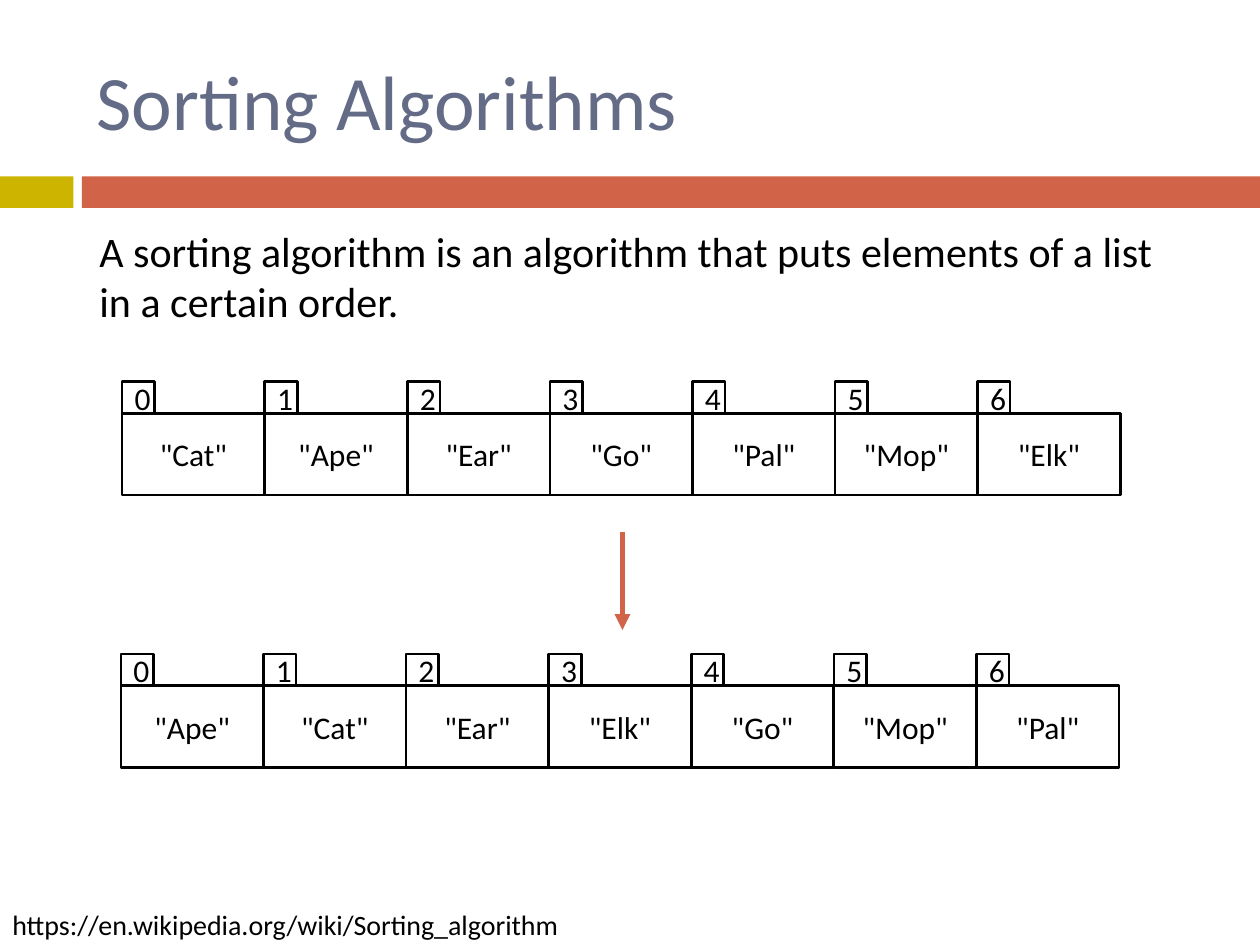
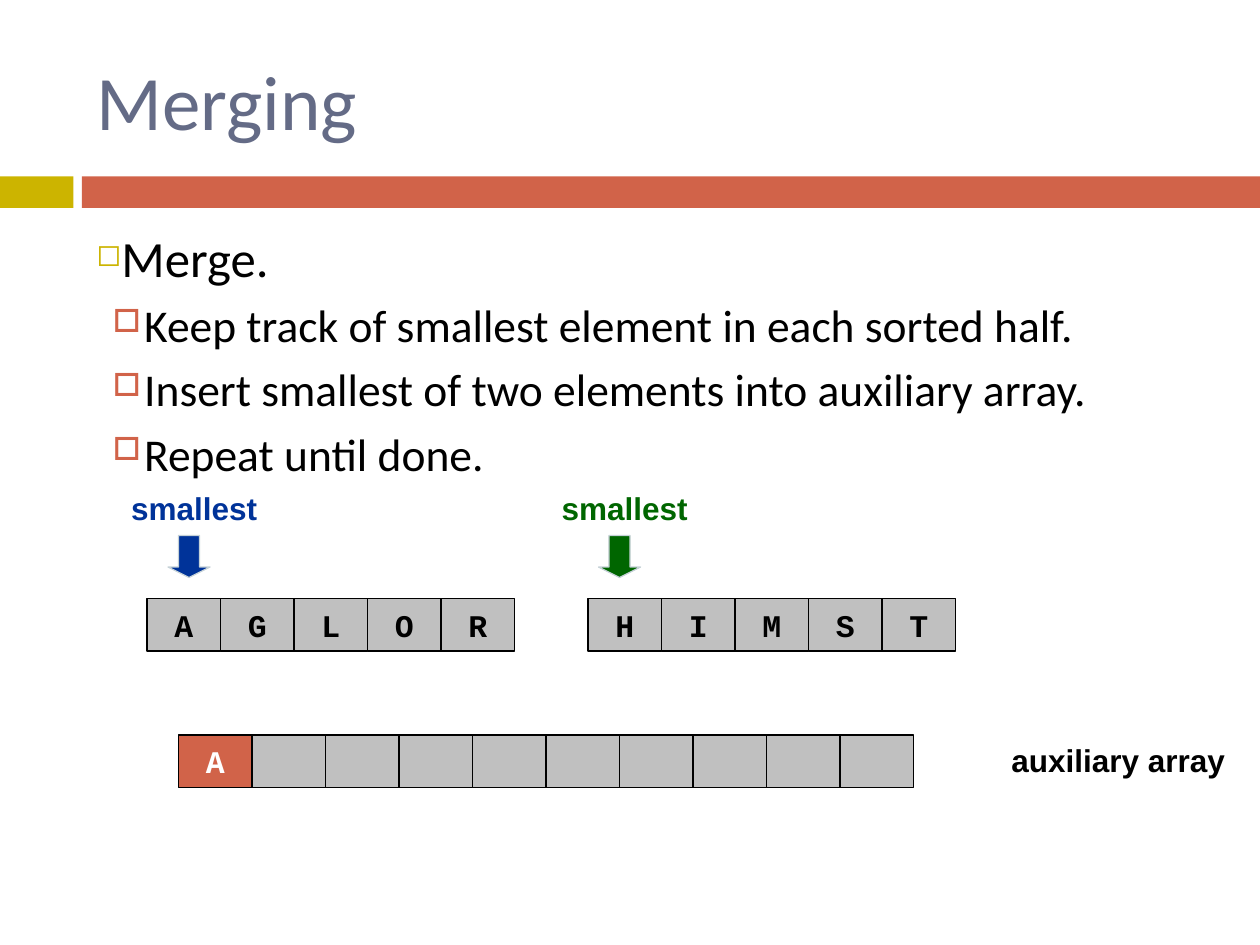
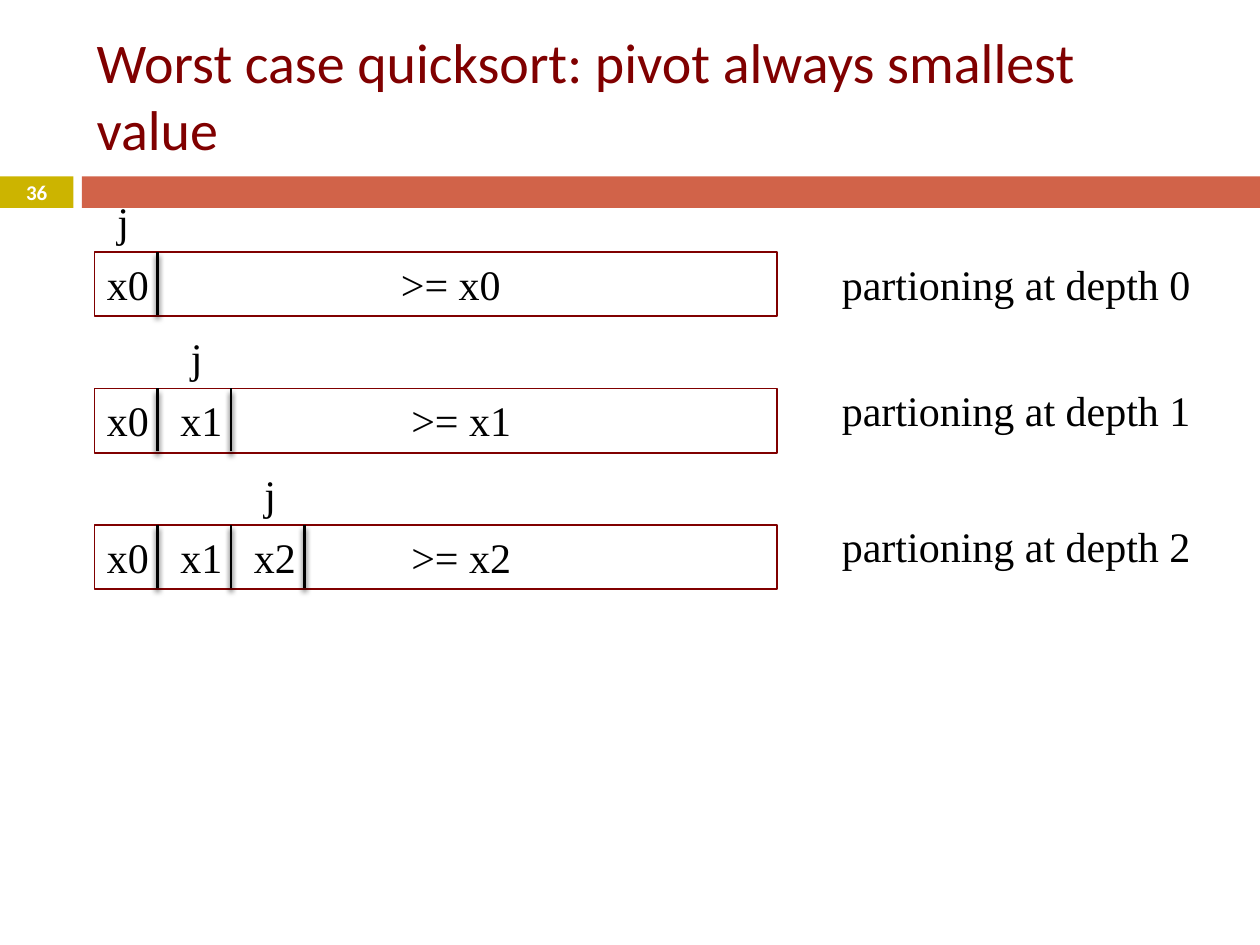
"""Build three slides on sorting: definition, merging and worst-case quicksort."""
from dataclasses import dataclass
from typing import NamedTuple

from lxml import etree
from pptx import Presentation
from pptx.dml.color import RGBColor
from pptx.enum.shapes import MSO_CONNECTOR, MSO_SHAPE
from pptx.enum.text import MSO_ANCHOR, MSO_AUTO_SIZE, PP_ALIGN
from pptx.oxml.ns import qn
from pptx.presentation import Presentation as Deck
from pptx.shapes.autoshape import Shape
from pptx.shapes.connector import Connector
from pptx.shapes.shapetree import GroupShapes, SlideShapes
from pptx.slide import Slide
from pptx.text.text import TextFrame, _Paragraph
from pptx.util import Inches, Pt

RECTANGLE = MSO_SHAPE.RECTANGLE
DOWN_ARROW = MSO_SHAPE.DOWN_ARROW
STRAIGHT = MSO_CONNECTOR.STRAIGHT
LEFT, CENTER = PP_ALIGN.LEFT, PP_ALIGN.CENTER
TOP, MIDDLE = MSO_ANCHOR.TOP, MSO_ANCHOR.MIDDLE
NO_FIT = MSO_AUTO_SIZE.NONE
TITLE_ONLY = 5

SLIDE_WIDTH, SLIDE_HEIGHT = Inches(10), Inches(7.5)
COLUMNS, ROWS = 120, 90

Shapes = SlideShapes | GroupShapes


@dataclass(frozen=True)
class Theme:
    """Colours, fonts and type sizes of the deck."""

    slate: str = "646B86"
    mustard: str = "CCB400"
    brick: str = "D16349"
    maroon: str = "800000"
    blue: str = "003399"
    green: str = "006600"
    silver: str = "C0C0C0"
    mist: str = "C5D1D7"
    black: str = "000000"
    white: str = "FFFFFF"
    sans: str = "Calibri"
    label: str = "Arial"
    code: str = "Courier New"
    serif: str = "Times New Roman"
    title_size: float = 44
    long_title_size: float = 32
    lead_size: float = 29
    point_size: float = 26
    body_size: float = 24
    cell_size: float = 18
    link_size: float = 16
    number_size: float = 12


THEME = Theme()


@dataclass(frozen=True)
class TextStyle:
    """Look of a run of text."""

    size: float
    font: str = THEME.sans
    color: str = THEME.black
    bold: bool = False


class Spot(NamedTuple):
    """Place and extent in grid columns and rows."""

    left: float
    top: float
    width: float
    height: float


class Outline(NamedTuple):
    """Colour and width of a line."""

    color: str
    width: float


class Bullet(NamedTuple):
    """Bullet sign with its colour, size share and hanging indent in columns."""

    sign: str
    color: str
    percent: int
    margin: float
    hang: float


class Point(NamedTuple):
    """One bulleted line of text."""

    text: str
    style: TextStyle
    bullet: Bullet
    space_before: float


class WordRow(NamedTuple):
    """A row of indexed words and its starting corner."""

    left: float
    top: float
    words: tuple[str, ...]


class SortedHalf(NamedTuple):
    """A sorted half of letters with its marker colour."""

    letters: str
    left: float
    marker_left: float
    color: str


BODY = TextStyle(THEME.body_size)
CELL = TextStyle(THEME.cell_size)
SERIF = TextStyle(THEME.body_size, THEME.serif)
TITLE = TextStyle(THEME.title_size, color=THEME.slate)
LONG_TITLE = TextStyle(THEME.long_title_size, color=THEME.maroon)
TITLE_SPOT = Spot(8, 3, 107, 13)
BAND_TOP, BAND_HEIGHT = 16.8, 3
NUMBER_WIDTH, BAND_LEFT = 7, 7.8

WORD_ROWS = (
    WordRow(11.64, 39.36, ("Cat", "Ape", "Ear", "Go", "Pal", "Mop", "Elk")),
    WordRow(11.52, 65.28, ("Ape", "Cat", "Ear", "Elk", "Go", "Mop", "Pal")),
)
HALVES = (
    SortedHalf("AGLOR", 14, 6, THEME.blue),
    SortedHalf("HIMST", 56, 47, THEME.green),
)
SUB_BULLET = Bullet("□", THEME.brick, 70, 4.56, -3)
POINTS = (
    Point("Merge.", TextStyle(THEME.lead_size),
          Bullet("◻", THEME.mustard, 60, 0, 0), 0),
    *(Point(text, TextStyle(THEME.point_size), SUB_BULLET, 5.5)
      for text in ("Keep track of smallest element in each sorted half.",
                   "Insert smallest of two elements into auxiliary array.",
                   "Repeat until done.")),
)
DEPTH_LABEL_TOPS = (24, 36, 49)


def across(columns: float) -> int:
    """Turn grid columns into a length."""
    return round(SLIDE_WIDTH * columns / COLUMNS)


def down(rows: float) -> int:
    """Turn grid rows into a length."""
    return round(SLIDE_HEIGHT * rows / ROWS)


def measure(spot: Spot) -> tuple[int, int, int, int]:
    """Turn a spot into left, top, width and height."""
    return (across(spot.left), down(spot.top),
            across(spot.width), down(spot.height))


def style_paragraph(para: _Paragraph, style: TextStyle, align: PP_ALIGN) -> None:
    """Apply a text style and alignment to a paragraph."""
    para.alignment = align
    for span in para.runs:
        span.font.size = Pt(style.size)
        span.font.name = style.font
        span.font.bold = style.bold
        span.font.color.rgb = RGBColor.from_string(style.color)


def write(frame: TextFrame, text: str, style: TextStyle,
          align: PP_ALIGN = LEFT, anchor: MSO_ANCHOR = TOP) -> _Paragraph:
    """Write one paragraph into a frame and return it."""
    frame.text = text
    frame.word_wrap = True
    frame.auto_size = NO_FIT
    frame.vertical_anchor = anchor
    para = frame.paragraphs[0]
    style_paragraph(para, style, align)
    return para


def add_text(shapes: Shapes, spot: Spot, text: str, style: TextStyle,
             align: PP_ALIGN = LEFT, anchor: MSO_ANCHOR = TOP) -> _Paragraph:
    """Add a text box and return its paragraph."""
    box = shapes.add_textbox(*measure(spot))
    return write(box.text_frame, text, style, align, anchor)


def add_block(shapes: Shapes, spot: Spot, fill: str | None,
              outline: Outline | None = None,
              kind: MSO_SHAPE = RECTANGLE) -> Shape:
    """Add a flat preset shape."""
    block = shapes.add_shape(kind, *measure(spot))
    block.shadow.inherit = False
    if fill:
        block.fill.solid()
        block.fill.fore_color.rgb = RGBColor.from_string(fill)
    else:
        block.fill.background()
    if outline:
        block.line.color.rgb = RGBColor.from_string(outline.color)
        block.line.width = Pt(outline.width)
    else:
        block.line.fill.background()
    return block


def add_cell(shapes: Shapes, spot: Spot, text: str, fill: str,
             outline: Outline, style: TextStyle) -> None:
    """Add a rectangle with centred text."""
    cell = add_block(shapes, spot, fill, outline)
    if text:
        write(cell.text_frame, text, style, CENTER, MIDDLE)


def add_line(shapes: Shapes, column: float, top: float, bottom: float,
             outline: Outline) -> Connector:
    """Add a vertical line without shadow."""
    line = shapes.add_connector(STRAIGHT, across(column), down(top),
                                across(column), down(bottom))
    line.line.color.rgb = RGBColor.from_string(outline.color)
    line.line.width = Pt(outline.width)
    etree.SubElement(line._element.spPr, qn("a:effectLst"))
    return line


def add_arrowhead(line: Connector) -> None:
    """Put a triangle at the end of a line."""
    etree.SubElement(line.line._get_or_add_ln(), qn("a:tailEnd"), type="triangle")


def add_line_shadow(line: Connector) -> None:
    """Give a line a soft shadow below it."""
    effects = line._element.spPr.find(qn("a:effectLst"))
    shadow = etree.SubElement(effects, qn("a:outerShdw"), blurRad=str(Pt(3)),
                              dist=str(Pt(2.4)), dir="5400000")
    color = etree.SubElement(shadow, qn("a:srgbClr"), val=THEME.black)
    etree.SubElement(color, qn("a:alpha"), val="75000")


def set_indent(para: _Paragraph, margin: float, hang: float) -> None:
    """Set the left margin and first-line indent in columns."""
    properties = para._p.get_or_add_pPr()
    properties.set("marL", str(across(margin)))
    properties.set("indent", str(across(hang)))


def set_bullet(para: _Paragraph, bullet: Bullet) -> None:
    """Give a paragraph its bullet."""
    set_indent(para, bullet.margin, bullet.hang)
    properties = para._p.get_or_add_pPr()
    color = etree.SubElement(properties, qn("a:buClr"))
    etree.SubElement(color, qn("a:srgbClr"), val=bullet.color)
    etree.SubElement(properties, qn("a:buSzPct"), val=str(bullet.percent * 1000))
    etree.SubElement(properties, qn("a:buChar"), char=bullet.sign)


def set_tabs(para: _Paragraph, stops: list[float]) -> None:
    """Set left tab stops in columns."""
    tabs = etree.SubElement(para._p.get_or_add_pPr(), qn("a:tabLst"))
    for stop in stops:
        etree.SubElement(tabs, qn("a:tab"), pos=str(across(stop)), algn="l")


def add_page(deck: Deck, title: str, style: TextStyle = TITLE,
             spot: Spot = TITLE_SPOT) -> Slide:
    """Add a slide with the shared title and bands."""
    page = deck.slides.add_slide(deck.slide_layouts[TITLE_ONLY])
    heading = page.shapes.title
    heading.left, heading.top, heading.width, heading.height = measure(spot)
    write(heading.text_frame, title, style, LEFT, MIDDLE)
    add_block(page.shapes, Spot(0, BAND_TOP, NUMBER_WIDTH, BAND_HEIGHT), THEME.mustard)
    add_block(page.shapes, Spot(BAND_LEFT, BAND_TOP, COLUMNS - BAND_LEFT, BAND_HEIGHT),
              THEME.brick)
    return page


def draw_word_row(shapes: Shapes, row: WordRow) -> None:
    """Draw words in adjoining cells, each with an index tab above."""
    outline = Outline(THEME.black, 1.5)
    width, height, tab_width, tab_height = 13.58, 7.8, 3.1, 3
    for index, word in enumerate(row.words):
        left = row.left + index * width
        add_cell(shapes, Spot(left, row.top, width, height), f'"{word}"',
                 THEME.white, outline, CELL)
        add_cell(shapes, Spot(left, row.top - tab_height, tab_width, tab_height),
                 str(index), THEME.white, outline, CELL)


def draw_array(shapes: Shapes, left: float, top: float, letters: list[str],
               filled: int = 0) -> None:
    """Draw letters in adjoining cells, the first few highlighted."""
    width, height = 7, 5
    for index, letter in enumerate(letters):
        done = index < filled
        style = TextStyle(THEME.cell_size, THEME.code,
                          THEME.white if done else THEME.black, True)
        add_cell(shapes, Spot(left + index * width, top, width, height), letter,
                 THEME.brick if done else THEME.silver,
                 Outline(THEME.black, 0.75), style)


def draw_half(page: Slide, half: SortedHalf) -> None:
    """Draw a sorted half and the marker of its smallest element."""
    style = TextStyle(THEME.cell_size, THEME.label, half.color, True)
    add_text(page.shapes, Spot(half.marker_left, 46, 25, 4.8), "smallest", style, CENTER)
    add_block(page.shapes, Spot(half.marker_left + 10, 51, 4, 4), half.color,
              Outline(THEME.mist, 0.75), DOWN_ARROW).adjustments[1] = 0.25
    draw_array(page.shapes.add_group_shape().shapes, half.left, 57, list(half.letters))


def draw_partition(page: Slide, depth: int, label_top: float) -> None:
    """Draw the list after partitioning at one depth."""
    shapes = page.shapes.add_group_shape().shapes
    left, top, step = 9, 24 + 13 * depth, 7
    bar = add_block(shapes, Spot(left, top, 65, 6.12), None, Outline(THEME.maroon, 1))
    names = [f"x{index}" for index in range(depth + 1)]
    para = write(bar.text_frame, "\t".join([*names, f">= {names[-1]}"]), SERIF)
    set_tabs(para, [step * index for index in range(1, depth + 1)]
             + [29 if depth else 28])
    pointer = add_text(shapes, Spot(left, top - 6, 65, 6.12), "j", SERIF)
    set_indent(pointer, step * depth + 1, 0)
    for index in range(depth + 1):
        add_line_shadow(add_line(shapes, 15 + step * index, top, top + 6,
                                 Outline(THEME.black, 1.5)))
    add_text(page.shapes, Spot(79, label_top, 36, 6.12),
             f"partioning at depth {depth}", SERIF)


def build_sorting(deck: Deck) -> None:
    """Build the slide that defines sorting."""
    page = add_page(deck, "Sorting Algorithms")
    add_text(page.shapes, Spot(8.28, 20.88, 103.44, 57.12),
             "A sorting algorithm is an algorithm that puts elements of a list "
             "in a certain order.", BODY)
    add_text(page.shapes, Spot(0, 85.8, 71.16, 4.2),
             "https://en.wikipedia.org/wiki/Sorting_algorithm",
             TextStyle(THEME.link_size))
    for row in WORD_ROWS:
        draw_word_row(page.shapes, row)
    add_arrowhead(add_line(page.shapes, 59.28, 50.64, 60, Outline(THEME.brick, 3)))


def build_merging(deck: Deck) -> None:
    """Build the slide on merging two sorted halves."""
    page = add_page(deck, "Merging")
    frame = page.shapes.add_textbox(*measure(Spot(8, 21, 107, 59))).text_frame
    frame.word_wrap = True
    for index, point in enumerate(POINTS):
        para = frame.add_paragraph() if index else frame.paragraphs[0]
        para.text = point.text
        set_bullet(para, point.bullet)
        para.space_before = Pt(point.space_before)
        style_paragraph(para, point.style, LEFT)
    for half in HALVES:
        draw_half(page, half)
    draw_array(page.shapes, 17, 70, ["A"] + [""] * 9, filled=1)
    add_text(page.shapes, Spot(95, 70, 23, 4.8), "auxiliary array",
             TextStyle(THEME.cell_size, THEME.label, bold=True), CENTER)


def build_quicksort(deck: Deck) -> None:
    """Build the slide on the worst case of quicksort."""
    page = add_page(deck, "Worst case quicksort: pivot always smallest value",
                    LONG_TITLE, Spot(8, 5, 107, 8))
    add_text(page.shapes, Spot(0, BAND_TOP, NUMBER_WIDTH, BAND_HEIGHT), "36",
             TextStyle(THEME.number_size, color=THEME.white, bold=True), CENTER, MIDDLE)
    for depth, label_top in enumerate(DEPTH_LABEL_TOPS):
        draw_partition(page, depth, label_top)


def main() -> None:
    """Build and save the deck."""
    deck = Presentation()
    deck.slide_width, deck.slide_height = SLIDE_WIDTH, SLIDE_HEIGHT
    build_sorting(deck)
    build_merging(deck)
    build_quicksort(deck)
    deck.save("out.pptx")


if __name__ == "__main__":
    main()
